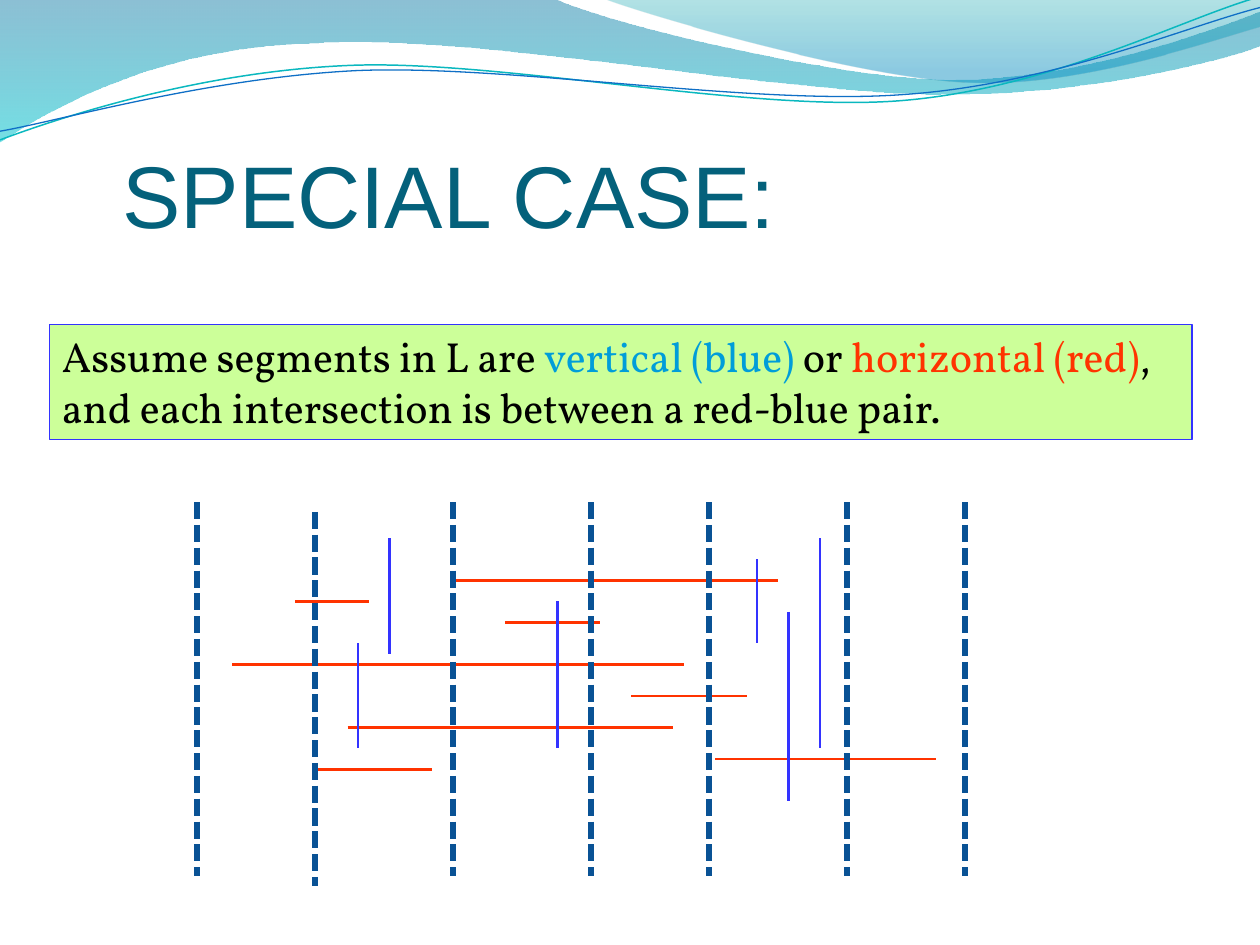
from pptx import Presentation
from pptx import util as u
from pptx.dml.color import RGBColor
from pptx.enum import dml, shapes, text
from pptx.oxml.ns import qn
from lxml import etree

RED, BLUE, NAVY = "FF3300", "3333FF", "095295"

# Outlines in points: a pair is a straight step, six numbers are a Bezier curve.
WAVE_BAND = [(0, 0), (316.8, -0.7), (342.7, 12.2, 478.1, 45.4, 545.8, 45.4),
             (614.2, 45.4, 689.8, 18.7, 720, 6.5), (720.7, 25.9),
             (707.8, 31.7, 626.4, 54.7, 537.1, 54), (447.8, 54, 275, 20.2, 185, 24.5),
             (92.9, 25.9, 33.1, 59.8, -0.7, 81.4), (0, 0)]
WAVE_GLOW = [(344.9, -0.7), (366.5, 7.9, 491, 44.6, 553.7, 46.8),
             (616.3, 49.7, 691.9, 23, 720, 15.1), (720, 0), (344.9, -0.7)]
TEAL_CURVE = [(-1.4, 63), (33.8, 51.7, 114.1, 29.4, 199.8, 29.9),
              (284.8, 30.3, 425.8, 67.3, 512.4, 64.9), (599, 62.4, 676.5, 25.7, 720.2, 15.5)]
BLUE_CURVE = [(-1.1, 58), (32.9, 53.8, 118.3, 33.2, 204.1, 33),
              (290.6, 33.4, 428.9, 63.8, 515.5, 61.4), (601.3, 59.6, 678.5, 30.1, 721.4, 21.3)]
CURVE_ROTATION = 357.3

# Segments relative to the diagram's corner.
HORIZONTALS = [(46, 146, 332), (70, 176, 230), (130, 86, 272), (112, 248, 314),
               (94, 20, 278), (58, 56, 98), (154, 68, 134), (148, 296, 422)]  # y, x1, x2
VERTICALS = [(206, 58, 142), (110, 22, 88), (92, 82, 142),
             (320, 34, 82), (356, 22, 142), (338, 64, 172)]  # x, y1, y2
SLAB_LINES = [(0, 1.2), (146.25, 1.2), (225, 1.2), (292.5, 1.2),
              (371.25, 1.2), (67.5, 6.8), (438.75, 1.2)]  # x, top
SLAB_HEIGHT = 213.75


def color(value):
    return RGBColor.from_string(value)


def add_outline(slide, left, top, outline, close):
    """Draw the outline through all its points, then join each curve's three steps."""
    points = [(u.Pt(left + step[i]), u.Pt(top + step[i + 1]))
              for step in outline for i in range(0, len(step), 2)]
    builder = slide.shapes.build_freeform(*points[0])
    builder.add_line_segments(points[1:], close=close)
    shape = builder.convert_to_shape()
    shape.shadow.inherit = False
    lines = shape._element.spPr.iter(qn("a:lnTo"))
    lines = iter(list(lines))
    for step in outline[1:]:
        line = next(lines)
        if len(step) == 6:
            line.tag = qn("a:cubicBezTo")
            for _ in range(2):
                extra = next(lines)
                line.append(extra[0])
                extra.getparent().remove(extra)
    return shape


def add_wave(slide, left, top, outline, stops):
    """Add a filled wave; each stop is position, colour and opacity in percent."""
    shape = add_outline(slide, left, top, outline, True)
    shape.line.fill.background()
    shape.fill.gradient()
    shape.fill.gradient_angle = 270
    for stop, (position, value, _) in zip(shape.fill.gradient_stops, stops):
        stop.position = position
        stop.color.rgb = color(value)
    for element, (_, _, opacity) in zip(shape._element.spPr.iter(qn("a:srgbClr")), stops):
        etree.SubElement(element, qn("a:alpha"), val=str(opacity * 1000))


def add_header_waves(slide, left, top):
    add_wave(slide, left, top, WAVE_BAND, [(0, "0074A1", 45), (1, "00C6CF", 55)])
    add_wave(slide, left, top, WAVE_GLOW, [(0, "00A1A9", 30), (0.8, "008BBF", 45)])
    for outline, value, width in [(TEAL_CURVE, "0AB8BF", 0.85), (BLUE_CURVE, "0F6FC6", 0.75)]:
        curve = add_outline(slide, left, top, outline, False)
        curve.rotation = CURVE_ROTATION
        curve.fill.background()
        curve.line.color.rgb = color(value)
        curve.line.width = u.Pt(width)


def add_run(paragraph, words, font, size, value):
    run = paragraph.add_run()
    run.text = words
    run.font.name = font
    run.font.size = u.Pt(size)
    run.font.color.rgb = color(value)


def add_title(slide, left, top, width, height):
    box = slide.shapes.add_textbox(u.Pt(left), u.Pt(top), u.Pt(width), u.Pt(height))
    frame = box.text_frame
    frame.word_wrap = True
    frame.vertical_anchor = text.MSO_ANCHOR.BOTTOM
    frame.margin_left = u.Pt(14)
    frame.margin_right = frame.margin_bottom = 0
    add_run(frame.paragraphs[0], "SPECIAL CASE:", "Arial", 50, "04617B")


def add_assumption(slide, left, top, width, height):
    box = slide.shapes.add_shape(shapes.MSO_SHAPE.RECTANGLE, u.Pt(left), u.Pt(top),
                                 u.Pt(width), u.Pt(height))
    box.shadow.inherit = False
    box.fill.solid()
    box.fill.fore_color.rgb = color("CCFF99")
    box.line.color.rgb = color(BLUE)
    box.line.width = u.Pt(0.75)
    frame = box.text_frame
    frame.word_wrap = True
    frame.vertical_anchor = text.MSO_ANCHOR.TOP
    lines = [
        [("Assume segments in L are ", "000000"), ("vertical (blue) ", "009DD9"),
         ("or ", "000000"), ("horizontal (red)", RED), (",", "000000")],
        [("and each intersection is between a red-blue pair.", "000000")],
    ]
    for index, runs in enumerate(lines):
        paragraph = frame.add_paragraph() if index else frame.paragraphs[0]
        paragraph.alignment = text.PP_ALIGN.LEFT
        for words, value in runs:
            add_run(paragraph, words, "Vollkorn", 24, value)


def add_line(slide, x1, y1, x2, y2, value, width=1.5):
    line = slide.shapes.add_connector(shapes.MSO_CONNECTOR.STRAIGHT,
                                      u.Pt(x1), u.Pt(y1), u.Pt(x2), u.Pt(y2))
    line.line.color.rgb = color(value)
    line.line.width = u.Pt(width)
    etree.SubElement(line._element.spPr, qn("a:effectLst"))
    return line


def add_segment_diagram(slide, left, top):
    for y, x1, x2 in HORIZONTALS:
        add_line(slide, left + x1, top + y, left + x2, top + y, RED)
    for x, y1, y2 in VERTICALS:
        add_line(slide, left + x, top + y1, left + x, top + y2, BLUE)
    for x, y in SLAB_LINES:
        slab = add_line(slide, left + x, top + y, left + x, top + y + SLAB_HEIGHT, NAVY, 3.25)
        slab.line.dash_style = dml.MSO_LINE.SQUARE_DOT


def main():
    presentation = Presentation()
    presentation.slide_width, presentation.slide_height = u.Pt(720), u.Pt(540)
    slide = presentation.slides.add_slide(presentation.slide_layouts[6])
    add_header_waves(slide, 0, 0)
    add_title(slide, 56, 62, 612, 78.5)
    add_assumption(slide, 28.3, 185.5, 653, 65.5)
    add_segment_diagram(slide, 112.6, 285.7)
    presentation.save("out.pptx")


if __name__ == "__main__":
    main()
